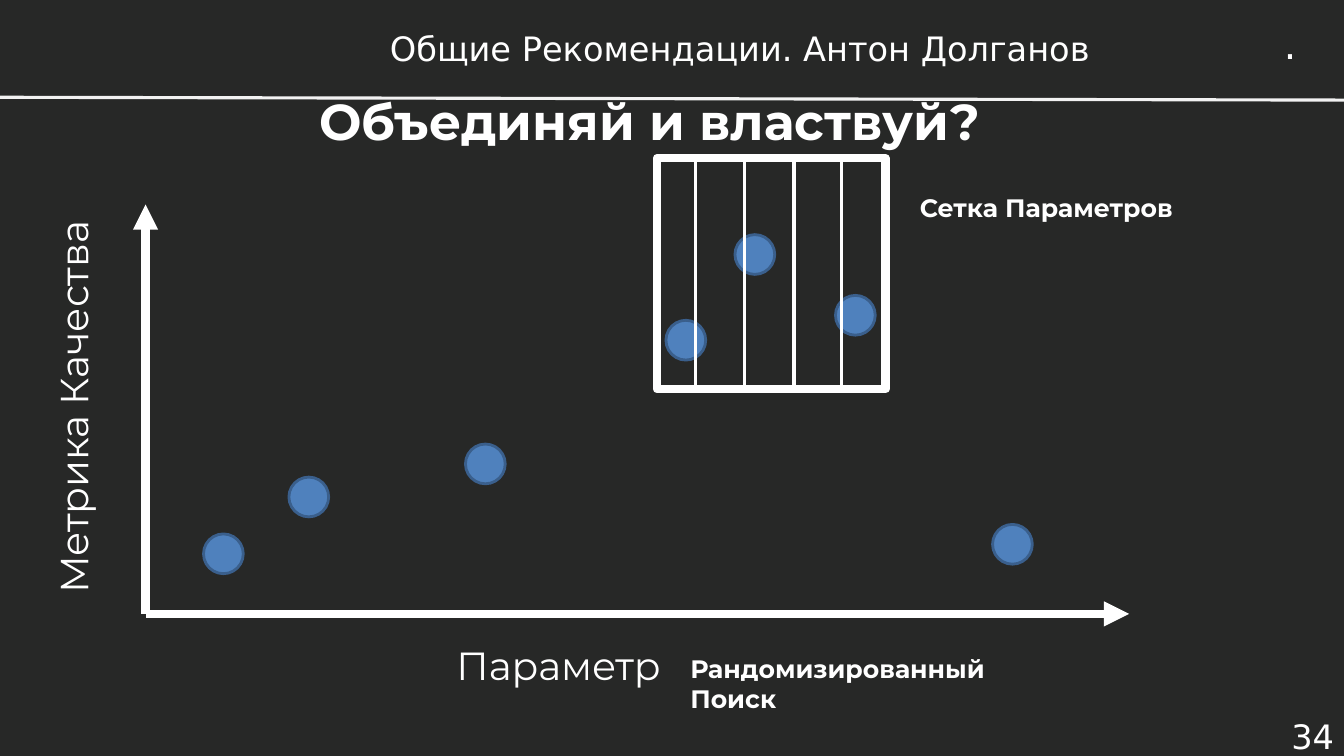
from lxml import etree
from pptx import Presentation
from pptx.dml.color import RGBColor
from pptx.enum.shapes import MSO_CONNECTOR, MSO_SHAPE
from pptx.enum.text import MSO_ANCHOR, PP_ALIGN
from pptx.oxml.ns import qn
from pptx.util import Pt

COLORS = {
    name: RGBColor.from_string(code)
    for name, code in {
        "background": "272827",
        "white": "FFFFFF",
        "rule": "F2F2F2",
        "point": "4F81BD",
        "point_edge": "3A5F8C",
    }.items()
}


def add_text(text, box, size, font="Montserrat", bold=False, wrap=True,
             align=PP_ALIGN.LEFT, anchor=MSO_ANCHOR.TOP):
    shape = slide.shapes.add_textbox(*map(Pt, box))
    frame = shape.text_frame
    frame.text = text
    frame.word_wrap = wrap
    frame.vertical_anchor = anchor
    paragraph = frame.paragraphs[0]
    paragraph.alignment = align
    run_font = paragraph.runs[0].font
    run_font.name, run_font.size, run_font.bold = font, Pt(size), bold
    run_font.color.rgb = COLORS["white"]
    return shape


def add_line(shapes, start, end, width, color="white", arrow=False):
    line = shapes.add_connector(MSO_CONNECTOR.STRAIGHT, *map(Pt, start + end))
    line.line.width = Pt(width)
    line.line.color.rgb = COLORS[color]
    properties = line._element.spPr
    if arrow:
        etree.SubElement(properties.find(qn("a:ln")), qn("a:tailEnd"), type="triangle")
    etree.SubElement(properties, qn("a:effectLst"))


presentation = Presentation()
presentation.slide_width, presentation.slide_height = Pt(960), Pt(540)
slide = presentation.slides.add_slide(presentation.slide_layouts[6])
slide.background.fill.solid()
slide.background.fill.fore_color.rgb = COLORS["background"]

# Header, title and slide number
middle = MSO_ANCHOR.MIDDLE
add_text("34", (884.4, 509.5, 75.6, 32.5), 24, "DejaVu Sans",
         align=PP_ALIGN.RIGHT, anchor=middle)
add_text("Общие Рекомендации. Антон Долганов", (244, 14, 569, 41), 24, "DejaVu Sans",
         align=PP_ALIGN.CENTER, anchor=middle)
add_line(slide.shapes, (0, 69.5), (960, 71.5), 2.25, "rule")
add_text(".", (910, 10.8, 25, 41), 28, "DejaVu Sans")
add_text("Объединяй и властвуй?", (152.5, 53.5, 623.5, 65.5), 36, bold=True,
         align=PP_ALIGN.CENTER, anchor=middle)

# Axes
origin = (104, 438.5)
add_line(slide.shapes, origin, (104, 146), 6, arrow=True)
add_line(slide.shapes, origin, (806.5, 438.5), 6, arrow=True)
quality_label = add_text("Метрика Качества", (-90.7, 267.8, 285.8, 41), 28, wrap=False)
quality_label.rotation = 270
add_text("Параметр", (319, 454.3, 162.7, 41), 28, wrap=False)

# Sampled parameter values
POINT_SIZE = 28.4
for left, top in [(145.4, 381.4), (475.7, 228.8), (596.8, 211), (525, 167.6),
                  (332.5, 317.2), (206.4, 340.8), (709, 374.6)]:
    point = slide.shapes.add_shape(
        MSO_SHAPE.OVAL, *map(Pt, (left, top, POINT_SIZE, POINT_SIZE)))
    point.shadow.inherit = False
    point.fill.solid()
    point.fill.fore_color.rgb = COLORS["point"]
    point.line.color.rgb = COLORS["point_edge"]
    point.line.width = Pt(2)

# Parameter grid around the best values
grid = slide.shapes.add_group_shape()
grid_top, grid_height = 113, 165
for x in (496.8, 531.6, 567.2, 601):
    add_line(grid.shapes, (x, grid_top), (x, grid_top + grid_height), 2.25)
frame = grid.shapes.add_shape(
    MSO_SHAPE.RECTANGLE, *map(Pt, (469.3, grid_top, 163.2, grid_height)))
frame.shadow.inherit = False
frame.fill.background()
frame.line.color.rgb = COLORS["white"]
frame.line.width = Pt(6)

# Search method names
add_text("Сетка Параметров", (650, 134, 204, 29), 18, bold=True)
add_text("Рандомизированный Поиск", (486, 463, 264, 29), 18, bold=True)

presentation.save("out.pptx")
